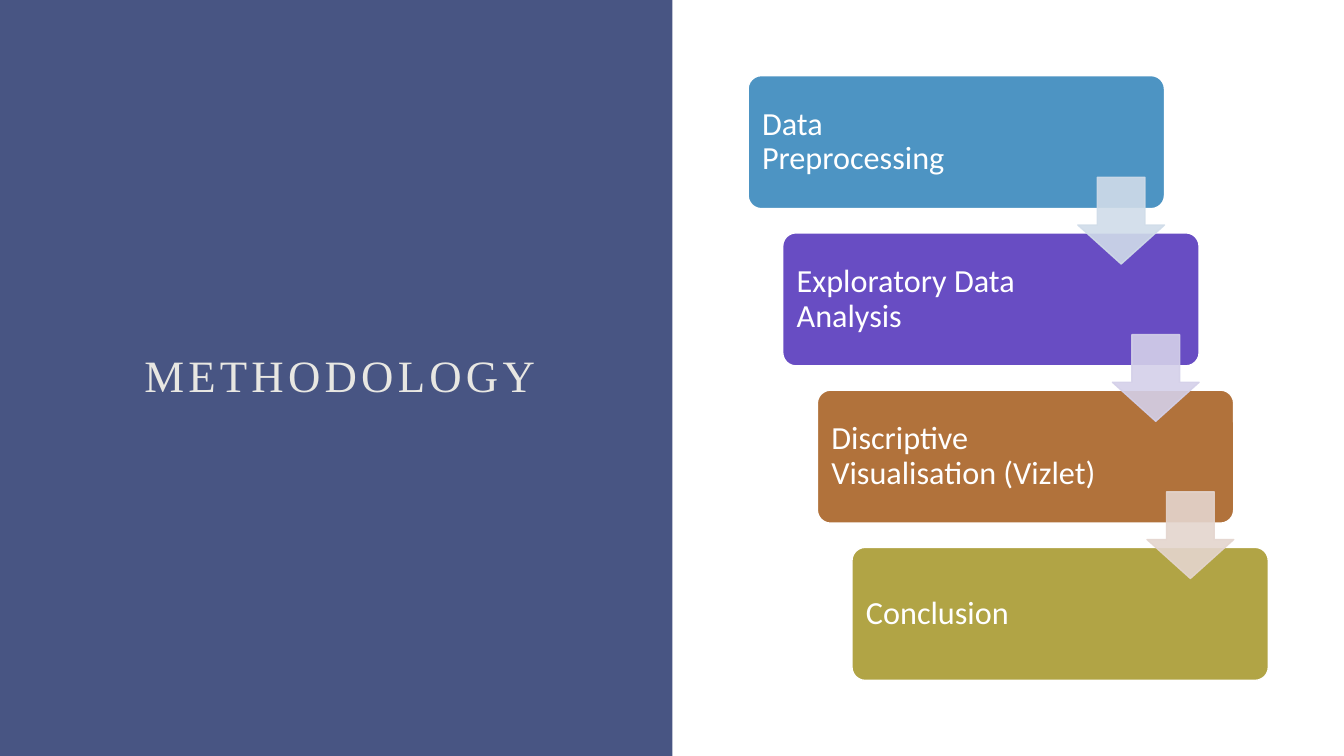
from dataclasses import dataclass

from lxml import etree
from pptx import Presentation
from pptx.dml.color import RGBColor
from pptx.enum.shapes import MSO_SHAPE
from pptx.enum.text import MSO_ANCHOR, PP_ALIGN
from pptx.oxml.ns import qn
from pptx.shapes.autoshape import Shape
from pptx.shapes.shapetree import GroupShapes
from pptx.util import Inches, Pt

RECTANGLE = MSO_SHAPE.RECTANGLE
ROUNDED = MSO_SHAPE.ROUNDED_RECTANGLE
DOWN_ARROW = MSO_SHAPE.DOWN_ARROW
MIDDLE = MSO_ANCHOR.MIDDLE
CENTER = PP_ALIGN.CENTER
LEFT = PP_ALIGN.LEFT

COLORS = {
    "panel": "485583",
    "heading": "E8E7E2",
    "white": "FFFFFF",
    "blue": "4D94C3",
    "purple": "684DC3",
    "brown": "B1723B",
    "olive": "B1A445",
    "pale_blue": "D0DCE9",
    "pale_purple": "D4D0E9",
    "pale_brown": "E4D5CE",
}

STEP_LEFT, STEP_TOP = 7.42, 0.75
STEP_WIDTH, STEP_HEIGHT = 4.13, 1.32
SHIFT_X, SHIFT_Y = 1.03 / 3, 1.56
LABEL_MARGIN = 0.04
ARROW_LEFT, ARROW_TOP, ARROW_SIZE = 10.69, 1.76, 0.86
ARROW_OPACITY = 90


@dataclass
class Step:
    label: str
    color: str
    label_width: float


@dataclass
class TextStyle:
    font: str
    size: float
    color: str
    align: PP_ALIGN
    inset: float
    space_after: float = 0
    letter_spacing: float = 0


STEPS = [
    Step("Data Preprocessing", "blue", 2.6),
    Step("Exploratory Data Analysis", "purple", 2.85),
    Step("Discriptive Visualisation (Vizlet)", "brown", 2.85),
    Step("Conclusion", "olive", 2.85),
]
ARROW_COLORS = ["pale_blue", "pale_purple", "pale_brown"]

HEADING_STYLE = TextStyle("Times New Roman", 32, "heading", CENTER, 0.1, letter_spacing=3)
LABEL_STYLE = TextStyle("Calibri", 23, "white", LEFT, 0.1, space_after=8)


def rgb(color: str) -> RGBColor:
    return RGBColor.from_string(COLORS[color])


def add_block(shapes: GroupShapes, kind: MSO_SHAPE, left: float, top: float,
              width: float, height: float, fill: str, line: str = "") -> Shape:
    block = shapes.add_shape(kind, Inches(left), Inches(top), Inches(width), Inches(height))
    block.shadow.inherit = False
    block.fill.solid()
    block.fill.fore_color.rgb = rgb(fill)
    if line:
        block.line.color.rgb = rgb(line)
        block.line.width = Pt(1)
    else:
        block.line.fill.background()
    return block


def add_text(shapes: GroupShapes, text: str, left: float, top: float,
             width: float, height: float, style: TextStyle) -> None:
    box = shapes.add_textbox(Inches(left), Inches(top), Inches(width), Inches(height))
    frame = box.text_frame
    frame.word_wrap = True
    frame.vertical_anchor = MIDDLE
    frame.margin_left = frame.margin_right = Inches(style.inset)
    frame.margin_top = frame.margin_bottom = Inches(style.inset)
    frame.text = text
    paragraph = frame.paragraphs[0]
    paragraph.alignment = style.align
    paragraph.line_spacing = 0.9
    paragraph.space_after = Pt(style.space_after)
    run = paragraph.runs[0]
    run.font.name = style.font
    run.font.size = Pt(style.size)
    run.font.color.rgb = rgb(style.color)
    if style.letter_spacing:
        run.font._element.set("spc", str(int(style.letter_spacing * 100)))


def set_opacity(block: Shape, percent: int) -> None:
    for color in block._element.spPr.iter(qn("a:srgbClr")):
        etree.SubElement(color, qn("a:alpha")).set("val", str(percent * 1000))


def add_step(shapes: GroupShapes, index: int, step: Step) -> None:
    left = STEP_LEFT + index * SHIFT_X
    top = STEP_TOP + index * SHIFT_Y
    card = add_block(shapes, ROUNDED, left, top, STEP_WIDTH, STEP_HEIGHT, step.color, "white")
    card.adjustments[0] = 0.1
    add_text(shapes, step.label, left + LABEL_MARGIN, top + LABEL_MARGIN,
             step.label_width, STEP_HEIGHT - 2 * LABEL_MARGIN, LABEL_STYLE)


def add_arrow(shapes: GroupShapes, index: int, color: str) -> None:
    arrow = add_block(shapes, DOWN_ARROW, ARROW_LEFT + index * SHIFT_X,
                      ARROW_TOP + index * SHIFT_Y, ARROW_SIZE, ARROW_SIZE, color, color)
    arrow.adjustments[0] = 0.55
    arrow.adjustments[1] = 0.45
    set_opacity(arrow, ARROW_OPACITY)


def main() -> None:
    presentation = Presentation()
    presentation.slide_width = Inches(13.33)
    presentation.slide_height = Inches(7.5)
    slide = presentation.slides.add_slide(presentation.slide_layouts[6])

    add_block(slide.shapes, RECTANGLE, 0, 0, 6.67, 7.5, "panel")
    add_text(slide.shapes, "METHODOLOGY", 1.11, 0.75, 4.52, 6, HEADING_STYLE)

    process = slide.shapes.add_group_shape().shapes
    for index, step in enumerate(STEPS):
        add_step(process, index, step)
    for index, color in enumerate(ARROW_COLORS):
        add_arrow(process, index, color)

    presentation.save("out.pptx")


if __name__ == "__main__":
    main()
